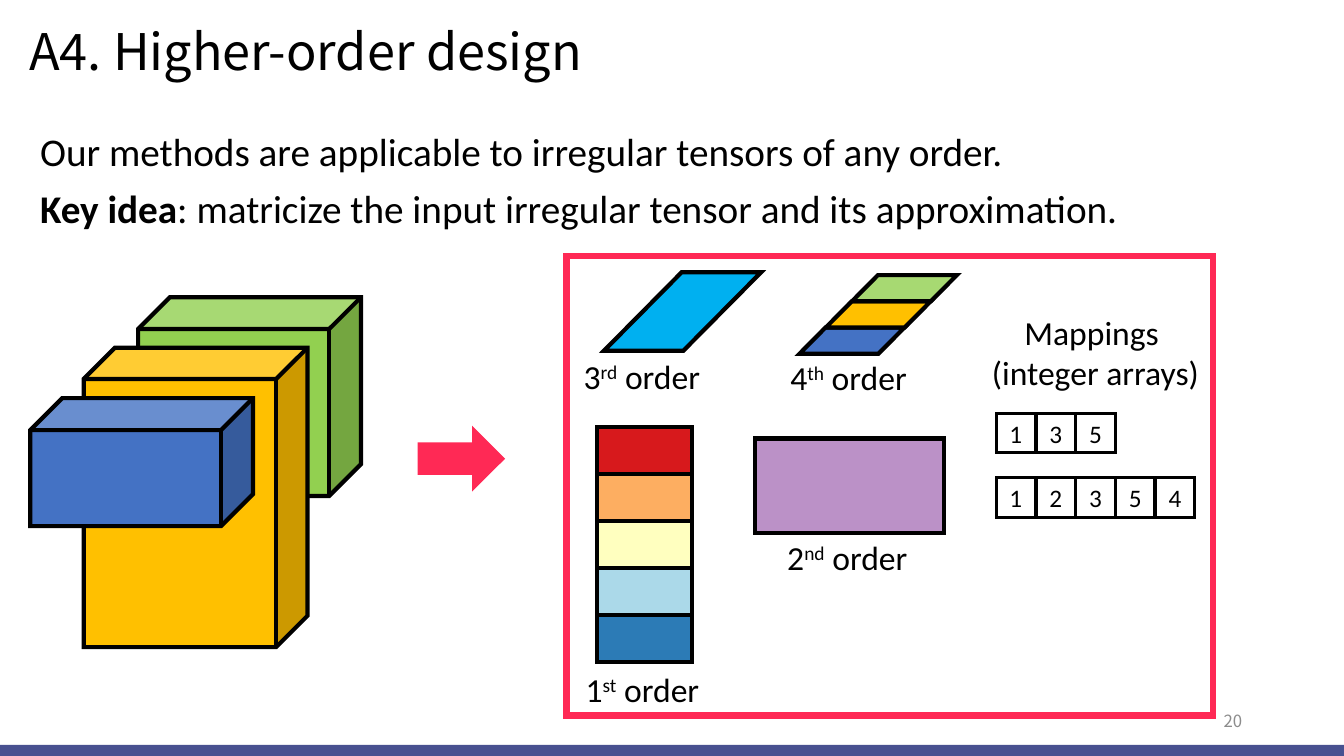
from lxml.etree import SubElement
from pptx import Presentation
from pptx.dml.color import RGBColor
from pptx.enum.shapes import MSO_SHAPE as SHAPE
from pptx.enum.text import MSO_ANCHOR as ANCHOR, MSO_AUTO_SIZE as AUTO, PP_ALIGN as ALIGN
from pptx.oxml.ns import qn
from pptx.util import Inches, Pt

BLACK = RGBColor(0x00, 0x00, 0x00)
GREY = RGBColor(0x8C, 0x8C, 0x8C)
NAVY = RGBColor(0x36, 0x40, 0x85)
PINK = RGBColor(0xFF, 0x29, 0x55)
GREEN = RGBColor(0x92, 0xD0, 0x50)
LIGHT_GREEN = RGBColor(0xA7, 0xD9, 0x72)
AMBER = RGBColor(0xFF, 0xC0, 0x00)
BLUE = RGBColor(0x44, 0x72, 0xC4)
SKY = RGBColor(0x00, 0xB0, 0xF0)
PURPLE = RGBColor(0xBB, 0x91, 0xC7)
VECTOR_COLORS = [
    RGBColor(0xD7, 0x19, 0x1C),
    RGBColor(0xFD, 0xAE, 0x61),
    RGBColor(0xFF, 0xFF, 0xBF),
    RGBColor(0xAB, 0xD9, 0xE9),
    RGBColor(0x2C, 0x7B, 0xB6),
]
BODY_FONT = "Calibri"
HEAD_FONT = "Noto Sans CJK KR"


def write(frame, paragraphs, size, font=BODY_FONT, color=BLACK, align=ALIGN.LEFT,
          anchor=ANCHOR.TOP, wrap=True, fit=AUTO.NONE, spacing=None, before=0):
    frame.word_wrap = wrap
    frame.auto_size = fit
    frame.vertical_anchor = anchor
    for index, runs in enumerate(paragraphs):
        paragraph = frame.add_paragraph() if index else frame.paragraphs[0]
        paragraph.alignment = align
        paragraph.line_spacing = spacing
        paragraph.space_before = Pt(before if index else 0)
        for text, style in runs:
            run = paragraph.add_run()
            run.text = text
            run.font.size = Pt(size)
            run.font.name = font
            run.font.color.rgb = color
            run.font.bold = style == "bold"
            if style == "super":
                run.font._element.set("baseline", "30000")


def plain(*lines):
    return [[(line, None)] for line in lines]


def add_text(slide, box, paragraphs, size, **style):
    frame = slide.shapes.add_textbox(*map(Inches, box)).text_frame
    write(frame, paragraphs, size, **style)


def add_figure(parent, kind, box, fill=None, line=BLACK, width=3, adjust=None):
    figure = parent.shapes.add_shape(kind, *map(Inches, box))
    figure.shadow.inherit = False
    if adjust is not None:
        figure.adjustments[0] = adjust
    if fill is None:
        figure.fill.background()
    else:
        figure.fill.solid()
        figure.fill.fore_color.rgb = fill
    if line is None:
        figure.line.fill.background()
    else:
        figure.line.color.rgb = line
        figure.line.width = Pt(width)
        outline = figure._element.spPr.find(qn("a:ln"))
        SubElement(outline, qn("a:miter"), lim="800000")
    return figure


def add_footer_bar(slide):
    bar = add_figure(slide, SHAPE.RECTANGLE, (0, 7.39, 13.33, 0.11), NAVY, line=None)
    color = bar._element.spPr.find(qn("a:solidFill"))[0]
    SubElement(color, qn("a:alpha"), val="91000")


def add_title(slide, text):
    title = slide.shapes.title
    title.left, title.top, title.width, title.height = map(Inches, (0.19, 0.15, 12.84, 0.77))
    write(title.text_frame, plain(text), 36, font=HEAD_FONT, anchor=ANCHOR.MIDDLE, spacing=0.9)


def add_irregular_tensor(slide):
    tensor = slide.shapes.add_group_shape()
    add_figure(tensor, SHAPE.CUBE, (1.37, 2.95, 2.21, 1.97), GREEN, adjust=0.16)
    add_figure(tensor, SHAPE.CUBE, (0.83, 3.45, 2.22, 2.97), AMBER, adjust=0.14)
    add_figure(tensor, SHAPE.CUBE, (0.3, 3.95, 2.21, 1.27), BLUE, adjust=0.25)


def add_vector(slide, left, top):
    vector = slide.shapes.add_group_shape()
    for index, color in enumerate(VECTOR_COLORS):
        add_figure(vector, SHAPE.RECTANGLE, (left, top + index * 0.465, 0.94, 0.47), color)


def add_sliced_tensor(slide, left, top):
    slices = slide.shapes.add_group_shape()
    for index, color in enumerate([BLUE, AMBER, LIGHT_GREEN]):
        box = (left + index * 0.26, top - index * 0.26, 1.04, 0.26)
        add_figure(slices, SHAPE.PARALLELOGRAM, box, color, adjust=0.99)


def add_order_label(slide, left, top, width, number, suffix):
    runs = [(number, None), (suffix, "super"), (" order", None)]
    add_text(slide, (left, top, width, 0.5), [runs], 24, wrap=False, fit=AUTO.SHAPE_TO_FIT_TEXT)


def add_mapping(slide, left, top, values):
    mapping = slide.shapes.add_group_shape()
    for index, value in enumerate(values):
        box = (left + index * 0.395, top, 0.39, 0.39)
        cell = add_figure(mapping, SHAPE.RECTANGLE, box, width=2.25)
        write(cell.text_frame, plain(str(value)), 18, align=ALIGN.CENTER, anchor=ANCHOR.MIDDLE)


def main():
    deck = Presentation()
    deck.slide_width, deck.slide_height = Inches(13.33), Inches(7.5)
    slide = deck.slides.add_slide(deck.slide_layouts[5])

    add_footer_bar(slide)
    add_title(slide, "A4. Higher-order design")
    statement = plain("Our methods are applicable to irregular tensors of any order.")
    key_idea = [("Key idea", "bold"),
                (": matricize the input irregular tensor and its approximation.", None)]
    add_text(slide, (0.3, 1.27, 12.73, 1.2), statement + [key_idea], 28, spacing=0.9, before=10)
    add_text(slide, (9.42, 6.95, 3, 0.4), plain("20"), 12, font=HEAD_FONT, color=GREY,
             align=ALIGN.RIGHT, anchor=ANCHOR.MIDDLE)

    add_irregular_tensor(slide)
    add_vector(slide, 5.92, 4.24)
    add_figure(slide, SHAPE.RECTANGLE, (7.49, 4.35, 1.87, 0.94), PURPLE)
    add_sliced_tensor(slide, 7.93, 3.25)
    add_figure(slide, SHAPE.PARALLELOGRAM, (5.99, 2.7, 1.56, 0.78), SKY, adjust=0.99)
    add_figure(slide, SHAPE.RECTANGLE, (5.62, 2.54, 6.41, 4.56), line=PINK, width=4.5)

    add_order_label(slide, 5.71, 6.59, 1.36, "1", "st")
    add_order_label(slide, 7.71, 5.28, 1.43, "2", "nd")
    add_order_label(slide, 5.69, 3.48, 1.39, "3", "rd")
    add_order_label(slide, 7.74, 3.49, 1.39, "4", "th")

    add_figure(slide, SHAPE.RIGHT_ARROW, (4.15, 4.24, 0.85, 0.62), PINK, line=PINK, width=1)
    add_mapping(slide, 9.88, 4.1, [1, 3, 5])
    add_mapping(slide, 9.88, 4.74, [1, 2, 3, 5, 4])
    add_text(slide, (9.7, 3.04, 2.33, 0.91), plain("Mappings ", "(integer arrays)"), 24,
             align=ALIGN.CENTER, wrap=False, fit=AUTO.SHAPE_TO_FIT_TEXT)

    deck.save("out.pptx")


if __name__ == "__main__":
    main()
